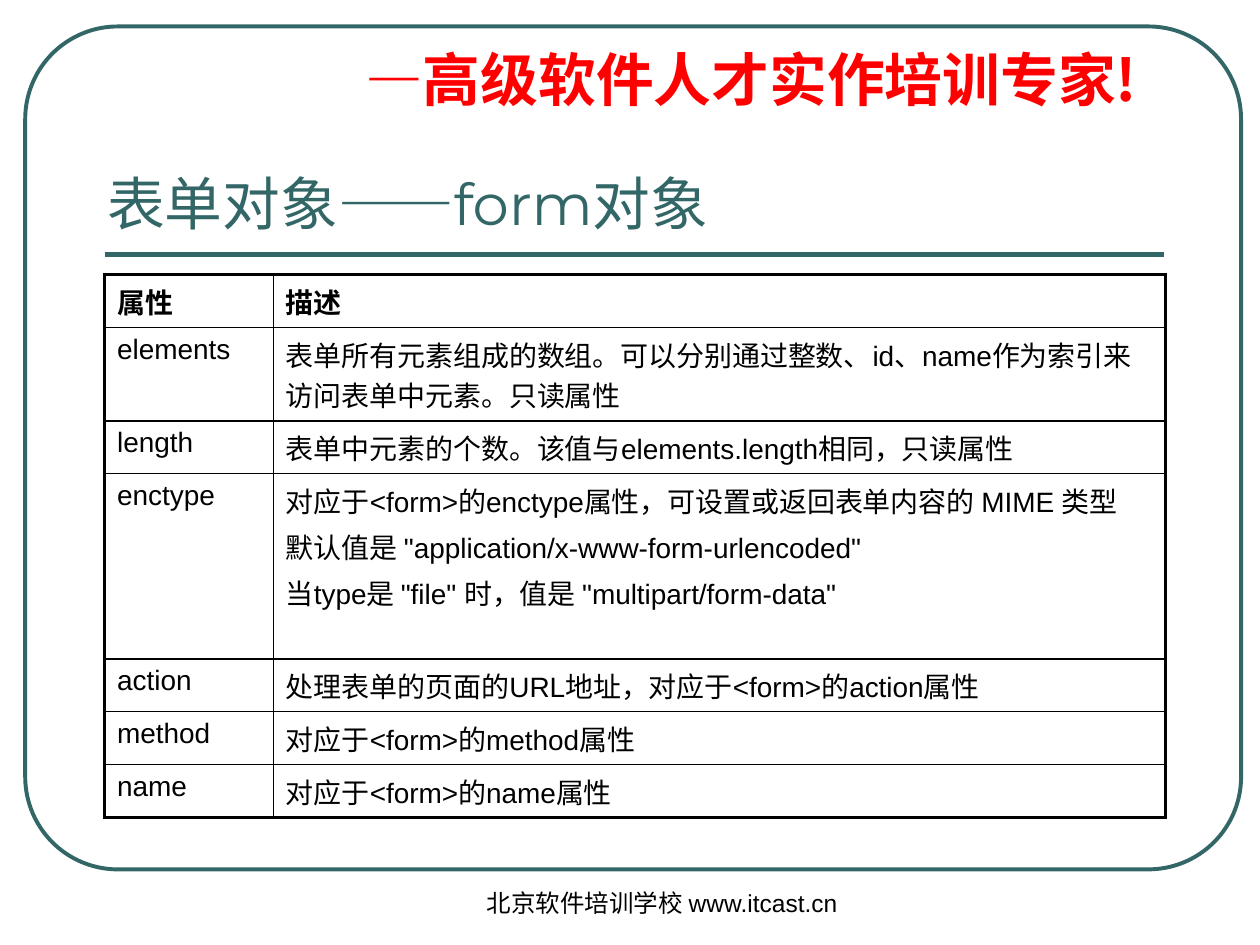
from lxml.etree import SubElement
from pptx import Presentation
from pptx.dml.color import RGBColor
from pptx.enum.shapes import MSO_CONNECTOR, MSO_SHAPE
from pptx.enum.text import MSO_ANCHOR, MSO_AUTO_SIZE, PP_ALIGN
from pptx.oxml.ns import qn
from pptx.util import Inches, Pt

TEAL = RGBColor(0x33, 0x66, 0x66)
RED = RGBColor(0xFF, 0x00, 0x00)
BLACK = RGBColor(0x00, 0x00, 0x00)

CJK = "Noto Sans CJK SC"
HEAD = {"name": "Montserrat", "size": Pt(33), "bold": False}
FOOT = {"name": "Arial", "size": Pt(14)}
BODY = {"name": "Arial", "size": Pt(16), "bold": False}
BOLD = {**BODY, "bold": True}

COLS = [1.34, 7.08]
ROWS = [
    (0.42, "属性", ["描述"]),
    (0.74, "elements", ["表单所有元素组成的数组。可以分别通过整数、id、name作为索引来访问表单中元素。只读属性"]),
    (0.42, "length", ["表单中元素的个数。该值与elements.length相同，只读属性"]),
    (1.47, "enctype", [
        "对应于<form>的enctype属性，可设置或返回表单内容的 MIME 类型",
        '默认值是 "application/x-www-form-urlencoded"',
        '当type是 "file" 时，值是 "multipart/form-data"',
    ]),
    (0.42, "action", ["处理表单的页面的URL地址，对应于<form>的action属性"]),
    (0.42, "method", ["对应于<form>的method属性"]),
    (0.42, "name", ["对应于<form>的name属性"]),
]


def add_run(para, text, form, color):
    run = para.add_run()
    run.text = text
    for key, value in form.items():
        setattr(run.font, key, value)
    run.font.color.rgb = color
    SubElement(run.font._element, qn("a:ea"), typeface=CJK)


def add_box(slide, *area):
    box = slide.shapes.add_textbox(*map(Inches, area))
    box.text_frame.word_wrap = True
    return box.text_frame


def add_frame(slide):
    frame = slide.shapes.add_shape(
        MSO_SHAPE.ROUNDED_RECTANGLE, *map(Inches, (0.2, 0.21, 9.65, 6.69)))
    frame.adjustments[0] = 0.11
    frame.shadow.inherit = False
    frame.fill.background()
    frame.line.color.rgb = TEAL
    frame.line.width = Pt(2.25)


def add_rule(slide):
    rule = slide.shapes.add_connector(
        MSO_CONNECTOR.STRAIGHT, *map(Inches, (0.83, 2.02, 9.24, 2.02)))
    rule.line.color.rgb = TEAL
    rule.line.width = Pt(3)
    SubElement(rule._element.spPr, qn("a:effectLst"))


def add_slogan(slide):
    text = add_box(slide, 2.8, 0.36, 6.3, 0.6)
    para = text.paragraphs[0]
    para.line_spacing = 0.9
    props = para._p.get_or_add_pPr()
    props.set("marL", str(Inches(0.38)))
    props.set("indent", str(Inches(-0.38)))
    form = {**HEAD, "bold": True}
    add_run(para, "—", form, RED)
    add_run(para, "高级软件人才实作培训专家!", {**form, "name": CJK}, RED)


def add_footer(slide):
    para = add_box(slide, 3.67, 7, 3.17, 0.5).paragraphs[0]
    para.alignment = PP_ALIGN.CENTER
    add_run(para, "北京软件培训学校 www.itcast.cn", FOOT, BLACK)


def set_title(slide):
    title = slide.shapes.title
    area = {"left": 0.75, "top": 0.36, "width": 8.42, "height": 1.57}
    for key, value in area.items():
        setattr(title, key, Inches(value))
    text = title.text_frame
    text.auto_size = MSO_AUTO_SIZE.NONE
    text.vertical_anchor = MSO_ANCHOR.BOTTOM
    para = text.paragraphs[0]
    para.alignment = PP_ALIGN.LEFT
    add_run(para, "表单对象——form对象", HEAD, TEAL)


def set_edges(cell, outer):
    props = cell._tc.get_or_add_tcPr()
    for spot, (side, thick) in enumerate(outer.items()):
        line = SubElement(props, qn(f"a:ln{side}"), w=str(Pt(2.25 if thick else 1)))
        fill = SubElement(line, qn("a:solidFill"))
        SubElement(fill, qn("a:srgbClr"), val=str(BLACK))
        props.insert(spot, line)


def fill_cell(cell, lines, form):
    cell.fill.background()
    text = cell.text_frame
    for spot, line in enumerate(lines):
        para = text.add_paragraph() if spot else text.paragraphs[0]
        if spot:
            para.space_before = Pt(3.2)
        add_run(para, line, form, BLACK)


def add_grid(slide):
    high = sum(row[0] for row in ROWS)
    area = map(Inches, (0.83, 2.18, sum(COLS), high))
    table = slide.shapes.add_table(len(ROWS), len(COLS), *area).table
    table.first_row = table.horz_banding = False
    for col, width in zip(table.columns, COLS):
        col.width = Inches(width)
    for row, (height, name, lines) in enumerate(ROWS):
        table.rows[row].height = Inches(height)
        for col, part in enumerate(([name], lines)):
            cell = table.cell(row, col)
            fill_cell(cell, part, BODY if row else BOLD)
            set_edges(cell, {"L": col == 0, "R": col == len(COLS) - 1,
                             "T": row == 0, "B": row == len(ROWS) - 1})


def main():
    deck = Presentation()
    deck.slide_width, deck.slide_height = Inches(10), Inches(7.5)
    slide = deck.slides.add_slide(deck.slide_layouts[5])
    add_frame(slide)
    add_rule(slide)
    add_slogan(slide)
    add_footer(slide)
    set_title(slide)
    add_grid(slide)
    deck.save("out.pptx")


if __name__ == "__main__":
    main()
